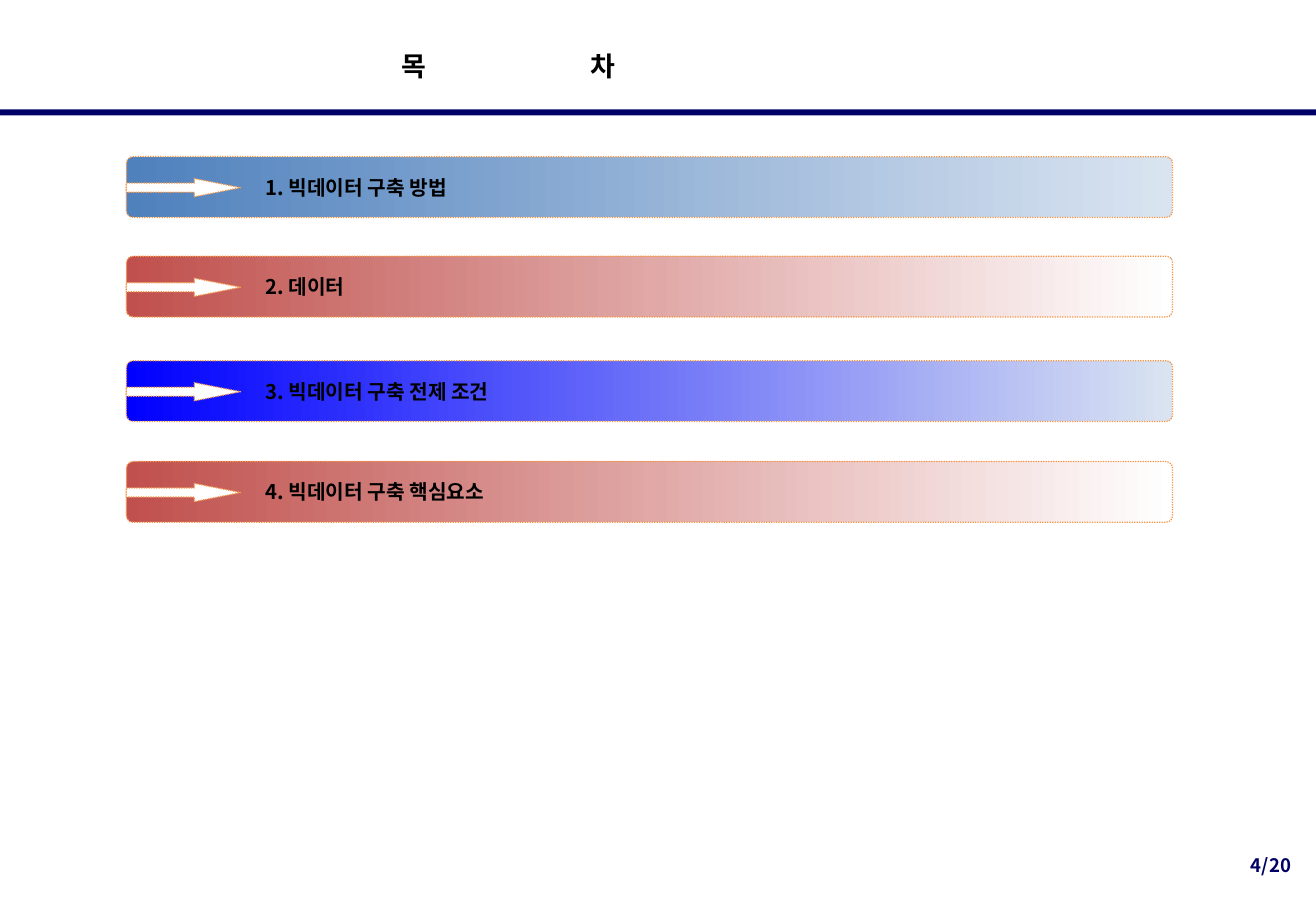
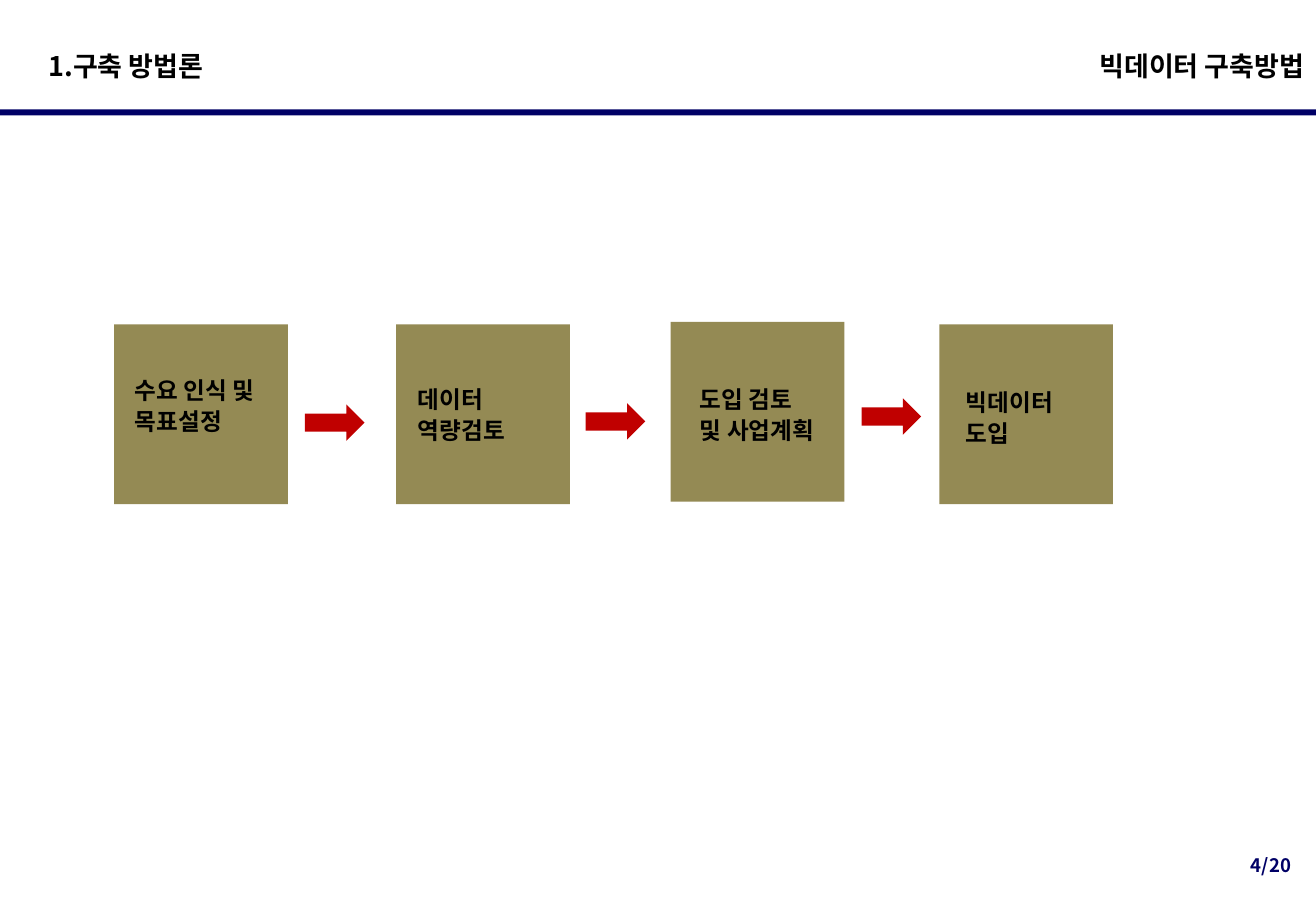
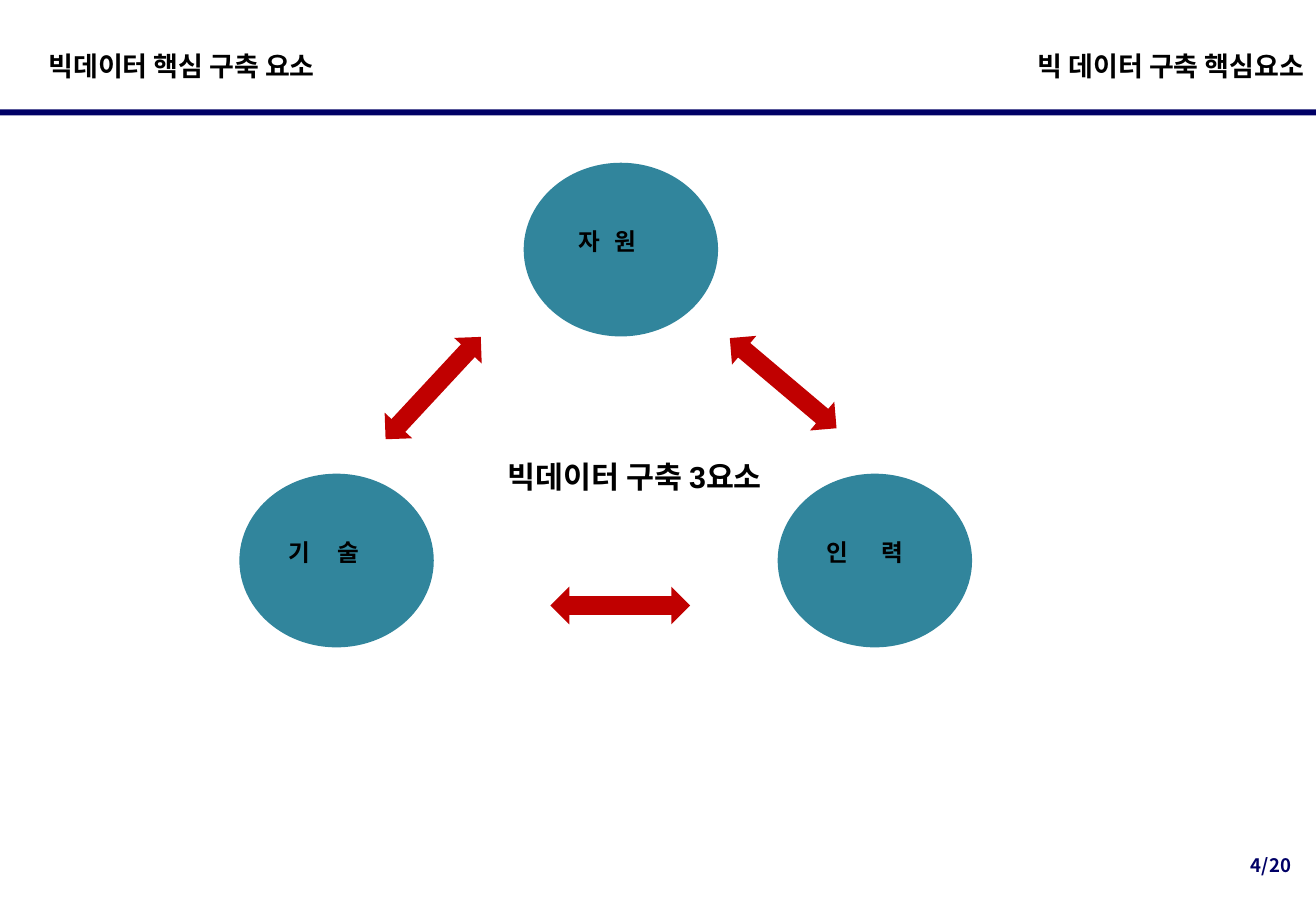
from pptx import Presentation
from pptx.dml.color import RGBColor
from pptx.enum.dml import MSO_LINE as Dash
from pptx.enum.shapes import MSO_SHAPE as Kind
from pptx.enum.text import MSO_ANCHOR as Anchor, MSO_AUTO_SIZE as Auto, PP_ALIGN as Align
from pptx.oxml.ns import qn
from pptx.util import Inches, Pt
from lxml.etree import SubElement

# Shared style
WIDE, HIGH = 10.83, 7.5
FONT = "Noto Sans CJK KR"
NAVY, BLACK, WHITE = "000066", "000000", "FFFFFF"
RED, OLIVE, TEAL, AMBER = "C00000", "948A54", "31859C", "F79646"
LINE = 18.4  # line pitch of 14 pt labels
HEAD = {"size": 16, "anchor": Anchor.MIDDLE}


def tint(code):
    return RGBColor.from_string(code)


def put(shape, text, size=14, color=BLACK, font=FONT, align=Align.LEFT,
        anchor=Anchor.TOP, wrap=True, left=0.1, top=0.05, pitch=None, tab=None):
    """Write bold text, one paragraph a line, with an optional tab stop."""
    frame = shape.text_frame
    form = {"word_wrap": wrap, "auto_size": Auto.NONE, "vertical_anchor": anchor,
            "margin_left": Inches(left), "margin_top": Inches(top),
            "margin_right": Inches(0.1), "margin_bottom": Inches(0.05)}
    for name, value in form.items():
        setattr(frame, name, value)
    frame.text = text
    for para in frame.paragraphs:
        para.alignment = align
        if pitch:
            para.line_spacing = Pt(pitch)
        if tab:
            stops = SubElement(para._p.get_or_add_pPr(), qn("a:tabLst"))
            SubElement(stops, qn("a:tab"), pos=str(Inches(tab)), algn="l")
        for run in para.runs:
            for name, value in {"size": Pt(size), "bold": True, "name": font}.items():
                setattr(run.font, name, value)
            run.font.color.rgb = tint(color)
            SubElement(run._r.get_or_add_rPr(), qn("a:ea"), typeface=FONT)


def label(slide, box, text, **form):
    put(slide.shapes.add_textbox(*map(Inches, box)), text, **form)


def block(slide, kind, box, fill, fade=None, edge=None):
    """Draw a preset shape, plain or fading to a second colour."""
    shape = slide.shapes.add_shape(kind, *map(Inches, box))
    shape.shadow.inherit = False
    if fade:
        shape.fill.gradient()
        shape.fill.gradient_angle = 0
        for stop, code in zip(shape.fill.gradient_stops, (fill, fade)):
            stop.color.rgb = tint(code)
    else:
        shape.fill.solid()
        shape.fill.fore_color.rgb = tint(fill)
    if edge:
        shape.line.color.rgb = tint(edge)
        shape.line.width = Pt(0.75)
        shape.line.dash_style = Dash.ROUND_DOT
    else:
        shape.line.fill.background()
    return shape


def page(deck, title, topic=None, **form):
    """Start a slide with its title, band, page number and topic."""
    slide = deck.slides.add_slide(deck.slide_layouts[5])
    head = slide.shapes.title
    spots = {"left": 0.3, "top": 0.35, "width": 9.21, "height": 0.39}
    for name, value in spots.items():
        setattr(head, name, Inches(value))
    put(head, title, **HEAD, **form)
    block(slide, Kind.RECTANGLE, (0, 0.9, WIDE, 0.05), NAVY)
    label(slide, (10.01, 7, 0.9, 0.25), "4/20", size=11, color=NAVY,
          align=Align.CENTER, anchor=Anchor.MIDDLE, wrap=False)
    if topic:
        label(slide, (WIDE - 2.9, 0.35, 2.9, 0.39), topic, align=Align.RIGHT, **HEAD)
    return slide


# Contents
def agenda(deck):
    slide = page(deck, "목\t차", left=3.0, tab=1.56)
    rows = [(1.29, "4F81BD", "DAE4F1", "1. 빅데이터 구축 방법"),
            (2.11, "C0504D", WHITE, "2. 데이터"),
            (2.97, "0000FF", "DAE4F1", "3. 빅데이터 구축 전제 조건"),
            (3.8, "C0504D", WHITE, "4. 빅데이터 구축 핵심요소")]
    for y, fill, fade, text in rows:
        bar = block(slide, Kind.ROUNDED_RECTANGLE, (1.04, y, 8.61, 0.5), fill, fade, AMBER)
        bar.adjustments[0] = 0.11
        put(bar, text, size=12, anchor=Anchor.MIDDLE, left=1.13)
        arrow = block(slide, Kind.RIGHT_ARROW, (1.04, y + 0.18, 0.94, 0.15), WHITE, edge=AMBER)
        arrow.adjustments[1] = 2.54


# Process steps
def steps(deck):
    slide = page(deck, "1.구축 방법론", "빅데이터 구축방법")
    boxes = [(0.94, 2.67, 0.17, 0.4, "수요 인식 및\n목표설정"),
             (3.26, 2.67, 0.18, 0.48, "데이터\n역량검토"),
             (5.52, 2.65, 0.24, 0.5, "도입 검토\n및 사업계획"),
             (7.73, 2.67, 0.22, 0.5, "빅데이터\n도입")]
    for x, y, left, top, text in boxes:
        box = block(slide, Kind.RECTANGLE, (x, y, 1.43, 1.48), OLIVE)
        put(box, text, left=left, top=top, pitch=LINE)
    for x, y in [(2.51, 3.33), (4.82, 3.32), (7.09, 3.28)]:
        block(slide, Kind.RIGHT_ARROW, (x, y, 0.49, 0.3), RED)


# Three linked factors
def factors(deck):
    slide = page(deck, "빅데이터 핵심 구축 요소", "빅 데이터 구축 핵심요소")
    discs = [(6.4, 3.9, 0.17, 0.45, "인\t력"),
             (4.31, 1.34, 0.22, 0.29, "자\t원"),
             (1.97, 3.9, 0.17, 0.4, "기\t술")]
    for x, y, left, tab, text in discs:
        disc = block(slide, Kind.OVAL, (x, y, 1.6, 1.43), TEAL)
        put(disc, text, left=left, top=0.3, pitch=LINE, tab=tab)
    for x, y, turn in [(5.87, 3, 40.2), (4.53, 4.83, 0), (2.99, 3.04, 312.9)]:
        link = block(slide, Kind.LEFT_RIGHT_ARROW, (x, y, 1.15, 0.31), RED)
        link.rotation = turn
    label(slide, (4.08, 3.72, 2.44, 0.4), "빅데이터 구축 3요소", size=18,
          font="Arial", anchor=Anchor.MIDDLE, wrap=False)


def main():
    deck = Presentation()
    deck.slide_width, deck.slide_height = Inches(WIDE), Inches(HIGH)
    for build in (agenda, steps, factors):
        build(deck)
    deck.save("out.pptx")


if __name__ == "__main__":
    main()
